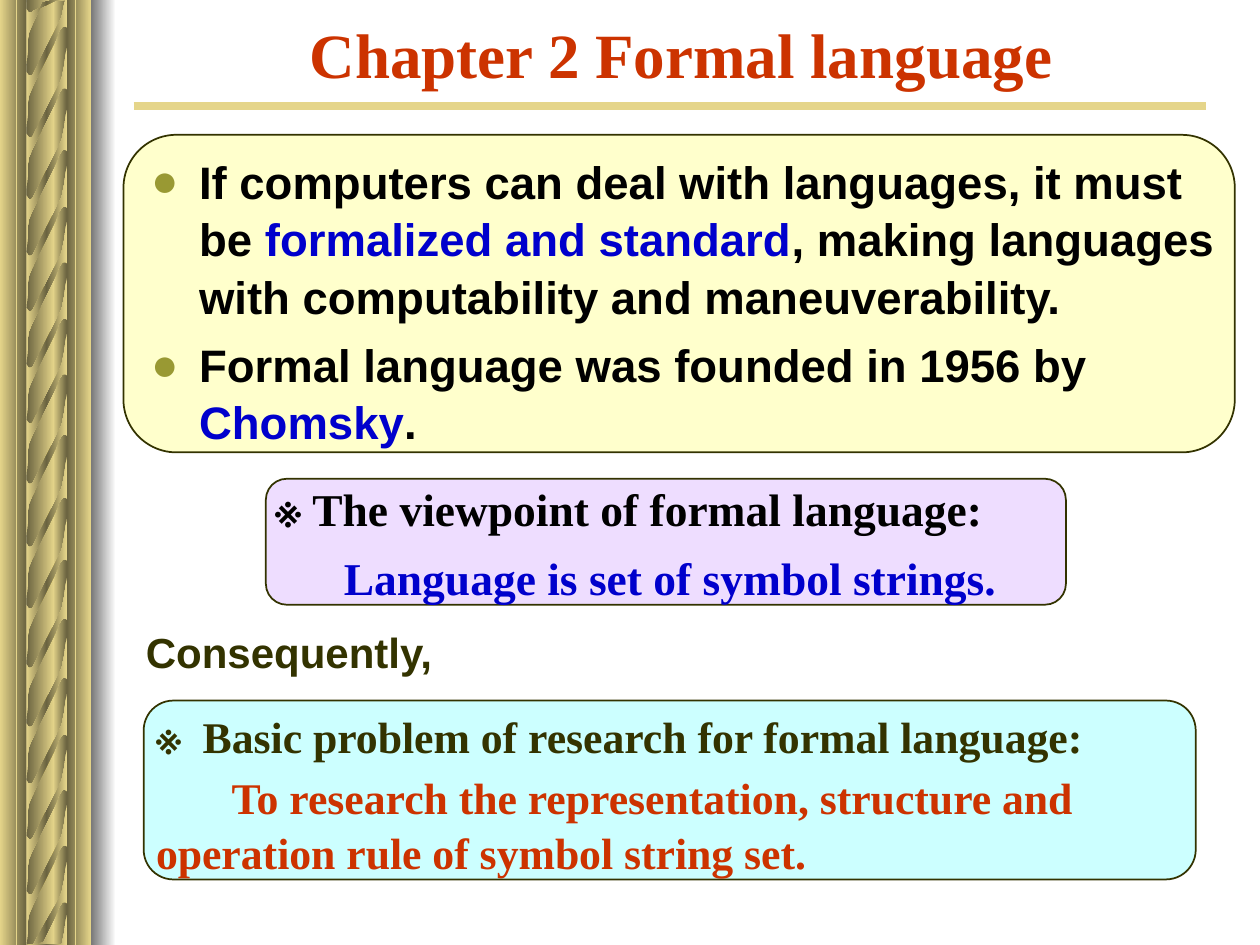
"""Build the slide on formal language."""
import pptx
import pptx.util
import pptx.dml.color
import pptx.enum.shapes
import pptx.enum.text
import pptx.oxml.ns
import lxml.etree

Inches, Pt = pptx.util.Inches, pptx.util.Pt
Shape = pptx.enum.shapes.MSO_SHAPE
Align = pptx.enum.text.PP_ALIGN
Anchor = pptx.enum.text.MSO_ANCHOR
qn = pptx.oxml.ns.qn

GOLD, DARK, GRAY, WHITE = "E5D58A", "6A6340", "767676", "FFFFFF"
INK, BLACK, BLUE, RED, OLIVE = "333300", "000000", "0000CC", "CC3300", "999933"
SERIF, SANS = "Times New Roman", "Arial"
WIDE, HIGH = 10, 7.5
STRAND = [
    (0.53, 0.09), (0.53, 0.33), (0.52, 0.32), (0.5, 0.32), (0.49, 0.33),
    (0.47, 0.36), (0.43, 0.45), (0.34, 0.63), (0.25, 0.82), (0.23, 0.87),
    (0.22, 0.93), (0.22, 1.01), (0.21, 1.12), (0.21, 0.63), (0.21, 0.68),
    (0.22, 0.7), (0.23, 0.71), (0.25, 0.71), (0.26, 0.7), (0.45, 0.33),
    (0.49, 0.24), (0.5, 0.19), (0.51, 0.14), (0.52, 0.06), (0.53, 0),
]
TOPS = [4.59, 5.06, 5.51, 5.95, 6.39, 6.84, 4.12, 3.63, 0.87, 1.32,
        1.76, 2.21, 2.65, 7.26, 0.38, -0.11, -0.61, 3.13]


def tint(code):
    """Turn a hex string into a colour."""
    return pptx.dml.color.RGBColor.from_string(code)


class Deck:
    """Hold the style and the current slide."""

    def __init__(self):
        """Start a deck with one slide."""
        self.show = pptx.Presentation()
        self.show.slide_width = Inches(WIDE)
        self.show.slide_height = Inches(HIGH)
        self.slide = self.show.slides.add_slide(self.show.slide_layouts[1])
        self.shapes = self.slide.shapes
        self.space = 1.05

    def blend(self, shape, codes):
        """Fill a shape with an even run of colours from left to right."""
        shape.shadow.inherit = False
        shape.line.fill.background()
        shape.fill.gradient()
        shape.fill.gradient_angle = 0
        stops = shape.element.spPr.find(qn("a:gradFill")).find(qn("a:gsLst"))
        for old in list(stops):
            stops.remove(old)
        for i, code in enumerate(codes):
            place = str(100000 * i // (len(codes) - 1))
            stop = lxml.etree.SubElement(stops, qn("a:gs"), pos=place)
            lxml.etree.SubElement(stop, qn("a:srgbClr"), val=code)

    def band(self, left, width, *codes):
        """Draw an upright band over the full height."""
        bar = self.shapes.add_shape(
            Shape.RECTANGLE, Inches(left), 0, Inches(width), Inches(HIGH))
        self.blend(bar, codes)

    def strand(self, top):
        """Draw one twist of the rope, cut at the slide edges."""
        spots = [(Inches(x), Inches(min(max(top + y, 0), HIGH)))
                 for x, y in STRAND]
        build = self.shapes.build_freeform(*spots[0])
        build.add_line_segments(spots[1:], close=True)
        self.blend(build.convert_to_shape(), (GOLD, DARK, GOLD))

    def line(self, x1, y1, x2, y2, width):
        """Draw a straight gold line."""
        rule = self.shapes.add_connector(
            pptx.enum.shapes.MSO_CONNECTOR.STRAIGHT,
            Inches(x1), Inches(y1), Inches(x2), Inches(y2))
        rule.line.color.rgb = tint(GOLD)
        rule.line.width = Pt(width)
        lxml.etree.SubElement(rule.element.spPr, qn("a:effectLst"))

    def panel(self, left, top, width, height, code):
        """Draw a rounded panel."""
        card = self.shapes.add_shape(
            Shape.ROUNDED_RECTANGLE, Inches(left), Inches(top),
            Inches(width), Inches(height))
        card.shadow.inherit = False
        card.fill.solid()
        card.fill.fore_color.rgb = tint(code)
        card.line.color.rgb = tint(INK)
        card.line.width = Pt(1)

    def fill(self, frame, paras, font, size, gap=0, space=None):
        """Put paragraphs of (left, indent, runs) into a frame."""
        frame.word_wrap = True
        frame.auto_size = pptx.enum.text.MSO_AUTO_SIZE.NONE
        for i, (left, indent, runs) in enumerate(paras):
            para = frame.add_paragraph() if i else frame.paragraphs[0]
            para.space_before = Pt(gap if i else 0)
            para.line_spacing = space or self.space
            props = para._p.get_or_add_pPr()
            props.set("marL", str(Inches(left)))
            props.set("indent", str(Inches(indent)))
            for words, code in runs:
                run = para.add_run()
                run.text = words
                run.font.name = font
                run.font.size = Pt(size)
                run.font.bold = True
                run.font.color.rgb = tint(code)

    def place(self, shape, left, top, width, height):
        """Move and size a shape and bring it to the front."""
        shape.left, shape.top = Inches(left), Inches(top)
        shape.width, shape.height = Inches(width), Inches(height)
        self.shapes._spTree.append(shape.element)

    def title(self, words, *spot):
        """Fill the title."""
        head = self.shapes.title
        self.place(head, *spot)
        self.fill(head.text_frame, [(0, 0, [(words, RED)])], SERIF, 36, space=1)
        head.text_frame.vertical_anchor = Anchor.MIDDLE
        head.text_frame.paragraphs[0].alignment = Align.CENTER

    def body(self, items, *spot):
        """Fill the body with a bullet list."""
        main = self.slide.placeholders[1]
        self.place(main, *spot)
        paras = [(0.38, -0.38, runs) for runs in items]
        self.fill(main.text_frame, paras, SANS, 26, 6.5)
        for para in main.text_frame.paragraphs:
            props = para._p.get_or_add_pPr()
            hue = lxml.etree.SubElement(props, qn("a:buClr"))
            lxml.etree.SubElement(hue, qn("a:srgbClr"), val=OLIVE)
            lxml.etree.SubElement(props, qn("a:buFont"), typeface=SANS)
            lxml.etree.SubElement(props, qn("a:buChar"), char="●")

    def text(self, spot, paras, font, size, gap=0):
        """Add a text box."""
        box = self.shapes.add_textbox(*(Inches(n) for n in spot))
        self.fill(box.text_frame, paras, font, size, gap)


def main():
    """Draw the slide and save it."""
    deck = Deck()
    deck.band(0.42, 0.11, GOLD, DARK)
    deck.band(0, 0.21, GOLD, DARK)
    deck.band(0.21, 0.22, DARK, GOLD)
    deck.band(0.53, 0.19, DARK, GOLD)
    for top in TOPS:
        deck.strand(top)
    deck.band(0.72, 0.2, GRAY, WHITE)
    for x in (0.13, 0.6):
        deck.line(x, 0, x, HIGH, 1)
    deck.line(1.06, 0.84, 9.57, 0.84, 4.5)

    deck.title("Chapter 2 Formal language", 1.56, 0.09, 7.69, 0.67)
    deck.panel(2.11, 3.8, 6.35, 1, "EEDDFF")
    deck.panel(0.98, 1.07, 8.82, 2.52, "FFFFCC")
    deck.body([
        [("If computers can deal with languages, it must be ", BLACK),
         ("formalized and standard", BLUE),
         (", making languages with computability and maneuverability.", BLACK)],
        [("Formal language was founded in 1956 by ", BLACK),
         ("Chomsky", BLUE), (".", BLACK)],
    ], 1.1, 1.15, 8.9, 2.68)
    deck.text((2.09, 3.75, 6.38, 1.02), [
        (0.38, -0.38, [("※ The viewpoint of formal language:", BLACK)]),
        (0.54, 0, [("Language is set of symbol strings.", BLUE)]),
    ], SERIF, 26, 6.5)
    deck.panel(1.14, 5.56, 8.35, 1.42, "CCFFFF")
    deck.text((1.14, 5.56, 8.5, 0.52), [
        (0.37, -0.37,
         [("※\tBasic problem of research for formal language:", INK)]),
    ], SERIF, 25)
    deck.text((1.14, 6.05, 8.27, 0.94), [
        (0, 0.6, [("To research the representation, structure and "
                   "operation rule of symbol string set.", RED)]),
    ], SERIF, 25)
    deck.text((1.06, 4.9, 3.23, 0.5),
              [(0, 0, [("Consequently,", INK)])], SANS, 24)
    deck.show.save("out.pptx")


if __name__ == "__main__":
    main()
